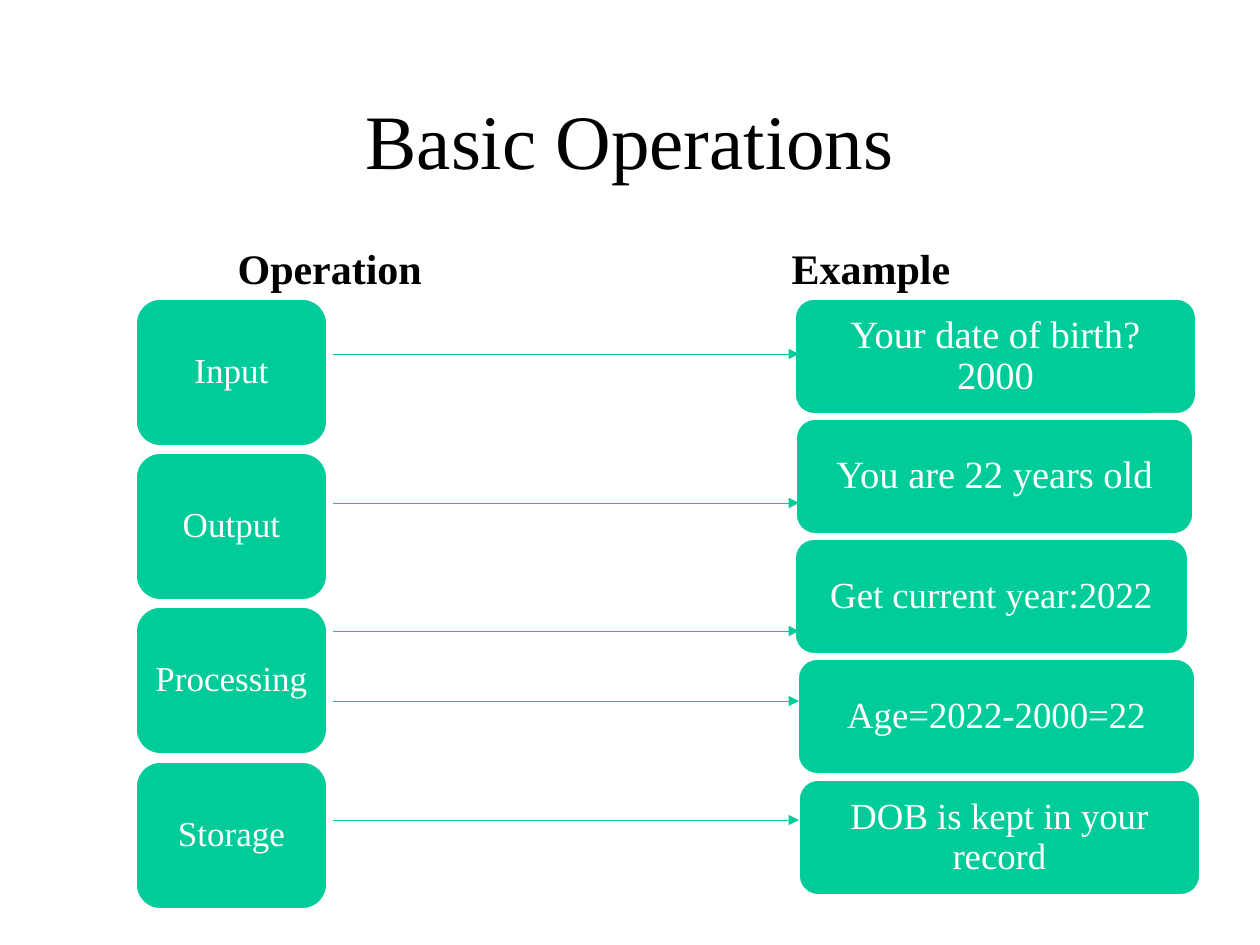
from dataclasses import dataclass

from lxml import etree
from pptx import Presentation
from pptx.dml.color import RGBColor
from pptx.enum.shapes import MSO_CONNECTOR, MSO_SHAPE
from pptx.enum.text import MSO_ANCHOR, PP_ALIGN
from pptx.oxml.ns import qn
from pptx.util import Pt

PX = 914400 / 126
ROUNDED = MSO_SHAPE.ROUNDED_RECTANGLE
STRAIGHT = MSO_CONNECTOR.STRAIGHT
MIDDLE, BOTTOM = MSO_ANCHOR.MIDDLE, MSO_ANCHOR.BOTTOM
LEFT, CENTER = PP_ALIGN.LEFT, PP_ALIGN.CENTER
COMPARISON_LAYOUT = 4


@dataclass(frozen=True)
class Theme:
    font: str = "Times New Roman"
    ink: RGBColor = RGBColor(0, 0, 0)
    paper: RGBColor = RGBColor(255, 255, 255)
    accent: RGBColor = RGBColor(0x00, 0xCC, 0x99)
    title_size: int = 44
    heading_size: int = 24
    operation_size: int = 20
    box_line: float = 1
    arrow_line: float = 0.5


THEME = Theme()

COLUMN_TOP = 299
OPERATIONS = ["Input", "Output", "Processing", "Storage"]
EXAMPLES = [
    ("Your date of birth? 2000", 795, 401, 22),
    ("You are 22 years old", 796, 397, 22),
    ("Get current year:2022", 795, 393, 21),
    ("Age=2022-2000=22", 798, 397, 21),
    ("DOB is kept in your record", 799, 401, 21),
]
ARROW_HEIGHTS = [354, 503, 631, 701, 820]


def px(*lengths):
    return [round(length * PX) for length in lengths]


def write(shape, text, size, color, align, anchor, bold=False):
    frame = shape.text_frame
    frame.word_wrap = True
    frame.vertical_anchor = anchor
    para = frame.paragraphs[0]
    para.text = text
    para.alignment = align
    font = para.font
    font.name = THEME.font
    font.size = Pt(size)
    font.bold = bold
    font.color.rgb = color
    return para


def fill_placeholder(holder, bounds, text, size, align, anchor, bold=False):
    holder.left, holder.top, holder.width, holder.height = px(*bounds)
    write(holder, text, size, THEME.ink, align, anchor, bold)


def add_box(page, bounds, text, size):
    box = page.shapes.add_shape(ROUNDED, *px(*bounds))
    box.shadow.inherit = False
    box.fill.solid()
    box.fill.fore_color.rgb = THEME.accent
    box.line.color.rgb = THEME.paper
    box.line.width = Pt(THEME.box_line)
    frame = box.text_frame
    frame.margin_left, frame.margin_right = px(10, 10)
    frame.margin_top, frame.margin_bottom = px(5, 5)
    para = write(box, text, size, THEME.paper, CENTER, MIDDLE)
    para.line_spacing = 0.9


def add_arrow(page, start, end, height):
    arrow = page.shapes.add_connector(STRAIGHT, *px(start, height, end, height))
    arrow.line.color.rgb = THEME.accent
    arrow.line.width = Pt(THEME.arrow_line)
    outline = arrow.line._get_or_add_ln()
    etree.SubElement(outline, qn("a:tailEnd"), type="triangle")
    etree.SubElement(arrow._element.spPr, qn("a:effectLst"))


def add_headings(page):
    title, operation, left_list, example, right_list = page.placeholders
    for unused in (left_list, right_list):
        unused._element.getparent().remove(unused._element)
    fill_placeholder(title, (87, 47, 1086, 183), "Basic Operations",
                     THEME.title_size, CENTER, MIDDLE)
    for holder, left, text in ((operation, 225, "Operation"), (example, 779, "Example")):
        fill_placeholder(holder, (left, 185, 394, 114), text,
                         THEME.heading_size, LEFT, BOTTOM, bold=True)


def main():
    deck = Presentation()
    deck.slide_width, deck.slide_height = px(1260, 945)
    page = deck.slides.add_slide(deck.slide_layouts[COMPARISON_LAYOUT])
    add_headings(page)
    for row, text in enumerate(OPERATIONS):
        top = COLUMN_TOP + row * 463 // 3
        add_box(page, (136, top, 191, 147), text, THEME.operation_size)
    for row, (text, left, width, size) in enumerate(EXAMPLES):
        top = COLUMN_TOP + row * 481 // 4
        add_box(page, (left, top, width, 115), text, size)
    for height in ARROW_HEIGHTS:
        add_arrow(page, 333, 799, height)
    deck.save("out.pptx")


if __name__ == "__main__":
    main()
